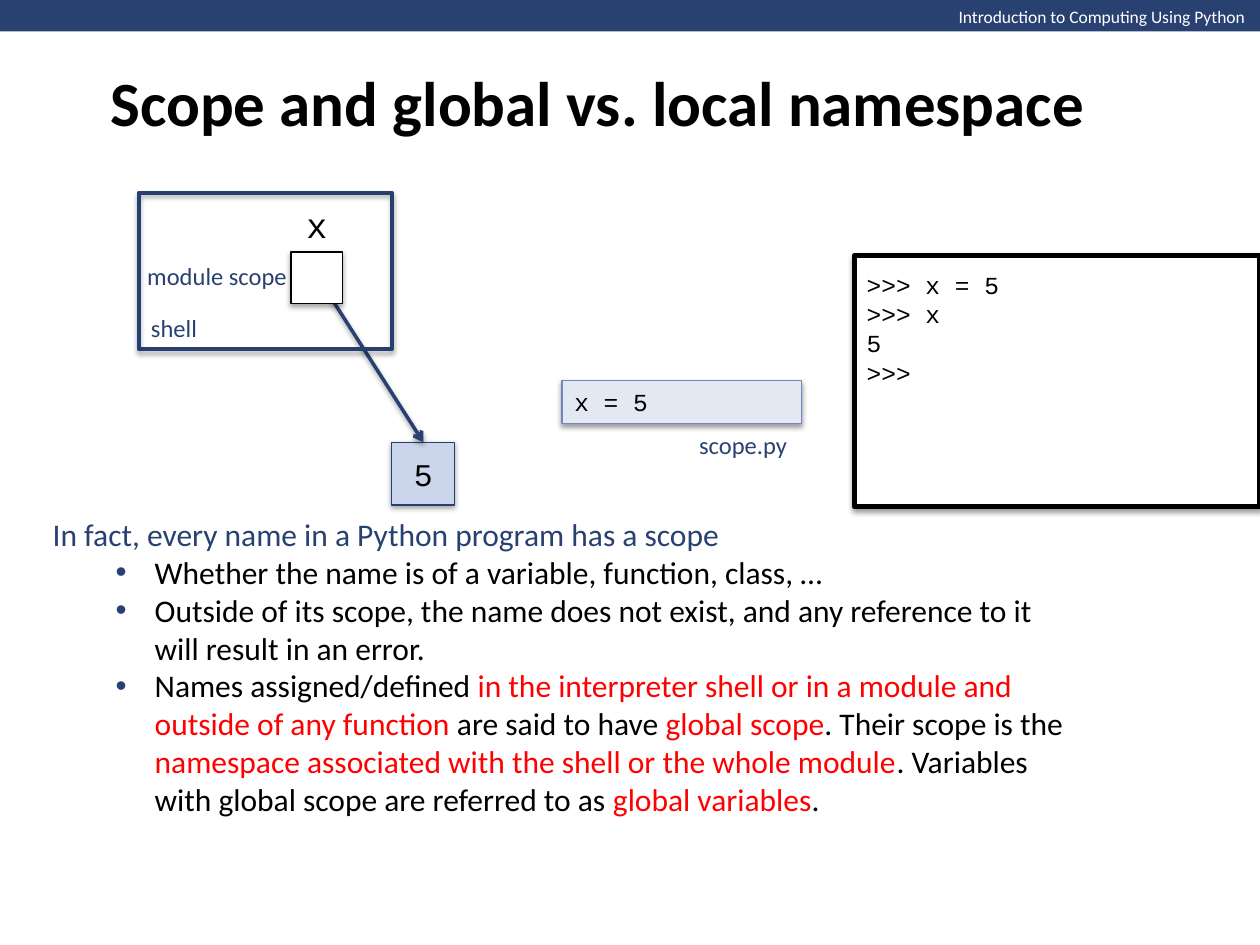
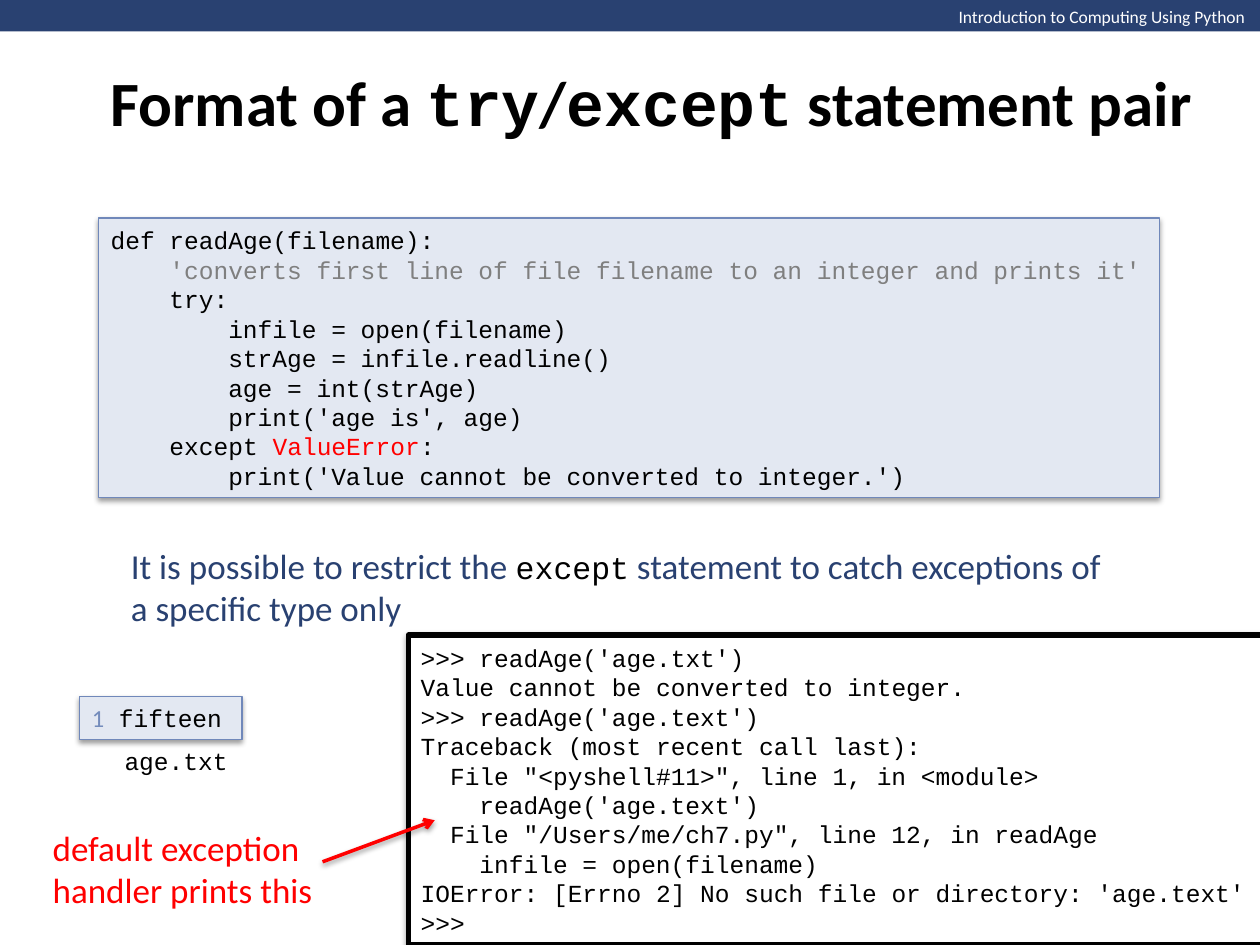
from lxml.etree import SubElement
from pptx import Presentation
from pptx.dml.color import RGBColor
from pptx.enum.shapes import MSO_CONNECTOR as CONNECTOR, MSO_SHAPE as SHAPE
from pptx.enum.text import MSO_ANCHOR as ANCHOR, PP_ALIGN as ALIGN
from pptx.oxml.ns import qn
from pptx.util import Inches, Pt

rgb = RGBColor.from_string

NAVY, BLACK, WHITE, RED, GREY = "294171", "000000", "FFFFFF", "FF0000", "7F7F7F"
SANS, MONO = "Calibri", "Courier New"
CHAR_WIDTH = 0.6  # of the monospaced font, in ems

LABEL = dict(size=14, color=NAVY, wrap=False)
CODE = dict(size=14, font=MONO)
FILE = dict(CODE, fill="E3E8F2", line="7088BA")
SHELL = dict(CODE, fill=WHITE, line=BLACK, width=3)
RED_RUN = dict(color=RED)


def paint(shape, line=None, width=0.75, shadow=38, arrow=False):
    """Set the outline, arrowhead and soft shadow (opacity in percent)."""
    if line:
        shape.line.color.rgb = rgb(line)
        shape.line.width = Pt(width)
    else:
        shape.line.fill.background()
    if arrow:
        SubElement(shape.line._get_or_add_ln(), qn("a:tailEnd"), type="arrow")
    effects = SubElement(shape._element.spPr, qn("a:effectLst"))
    if shadow:
        outer = SubElement(effects, qn("a:outerShdw"), blurRad=str(Pt(3.1)),
                           dist=str(Pt(1.6)), dir="5400000", rotWithShape="0")
        black = SubElement(outer, qn("a:srgbClr"), val=BLACK)
        SubElement(black, qn("a:alpha"), val=str(shadow * 1000))


def write(slide, text, at, size=18, font=SANS, color=BLACK, bold=False,
          align=ALIGN.LEFT, anchor=ANCHOR.MIDDLE, wrap=True, top=0.05,
          bullets_from=None, fill=None, line=None, width=0.75, shadow=38):
    """Write paragraphs; each is a string or a list of strings and (string, format)."""
    place = [Inches(v) for v in at]
    if fill or line:
        box = slide.shapes.add_shape(SHAPE.RECTANGLE, *place)
        if fill:
            box.fill.solid()
            box.fill.fore_color.rgb = rgb(fill)
        else:
            box.fill.background()
        paint(box, line, width, shadow)
    else:
        box = slide.shapes.add_textbox(*place)
    frame = box.text_frame
    frame.word_wrap = wrap
    frame.vertical_anchor = anchor
    frame.margin_top = Inches(top)

    for i, runs in enumerate([text] if isinstance(text, str) else text):
        paragraph = frame.paragraphs[0] if i == 0 else frame.add_paragraph()
        paragraph.alignment = align
        runs = [r if isinstance(r, tuple) else (r, {})
                for r in ([runs] if isinstance(runs, str) else runs)]
        # Leading code spaces become a paragraph indent
        first, first_format = runs[0]
        depth = len(first) - len(first.lstrip())
        runs[0] = (first.lstrip(), first_format)
        props = paragraph._p.get_or_add_pPr()
        if depth:
            props.set("marL", str(Pt(depth * CHAR_WIDTH * size)))
        if bullets_from is not None and i >= bullets_from:
            props.set("lvl", "1")
            props.set("marL", str(Inches(0.81)))
            props.set("indent", str(Inches(-0.31)))
            tint = SubElement(props, qn("a:buClr"))
            SubElement(tint, qn("a:srgbClr"), val=NAVY)
            SubElement(props, qn("a:buFont"), typeface="Arial")
            SubElement(props, qn("a:buChar"), char="•")
        for words, changes in runs:
            run = paragraph.add_run()
            run.text = words
            run.font.size = Pt(changes.get("size", size))
            run.font.name = changes.get("font", font)
            run.font.color.rgb = rgb(changes.get("color", color))
            run.font.bold = bold
    return box


deck = Presentation()
deck.slide_width, deck.slide_height = Inches(10), Inches(7.5)

# Band and title of both slides
titles = [
    ("Scope and global vs. local namespace", 8.5),
    ([["Format of a ", ("try", dict(font=MONO)), "/",
       ("except", dict(font=MONO)), " statement pair"]], 9.24),
]
slides = []
for title, title_width in titles:
    slide = deck.slides.add_slide(deck.slide_layouts[6])
    write(slide, "", (0, 0, 10.01, 0.25), fill=NAVY, shadow=0)
    write(slide, "Introduction to Computing Using Python", (7.51, 0, 2.5, 0.27),
          size=10, color=WHITE, wrap=False, anchor=ANCHOR.TOP)
    write(slide, title, (0.78, 0, title_width, 1.61), size=36, bold=True)
    slides.append(slide)
scope, exceptions = slides

# Scope: explanation
write(scope, [
    [("In fact, every name in a Python program has a scope", dict(color=NAVY))],
    "Whether the name is of a variable, function, class, …",
    "Outside of its scope, the name does not exist, and any reference to it "
    "will result in an error.",
    ["Names assigned/defined ",
     ("in the interpreter shell or in a module and outside of any function ", RED_RUN),
     "are said to have ", ("global scope", RED_RUN), ". Their scope is the ",
     ("namespace associated with the shell or the whole module", RED_RUN),
     ". Variables with global scope are referred to as ",
     ("global variables", RED_RUN), "."],
], (0.32, 4.04, 8.24, 2.52), anchor=ANCHOR.TOP, bullets_from=1)

# Scope: module file and interpreter shell
write(scope, "x = 5", (4.46, 3.02, 1.9, 0.34), **FILE)
write(scope, "scope.py", (5.45, 3.36, 0.91, 0.34), **LABEL)
write(scope, [">>> x = 5", ">>> x", "5", ">>>"], (6.78, 2.03, 3.22, 1.99),
      anchor=ANCHOR.TOP, top=0.11, **SHELL)

# Scope: name x refers to value 5
value = write(scope, "5", (3.11, 3.51, 0.5, 0.5), font=MONO, align=ALIGN.CENTER,
              fill="CBD6EC", line="263F70", shadow=35)
reference = scope.shapes.add_connector(
    CONNECTOR.STRAIGHT, Inches(2.51), Inches(2.18), Inches(3.36), Inches(3.51))
reference.end_connect(value, 0)
paint(reference, NAVY, 2, arrow=True)
write(scope, "", (1.1, 1.53, 2.01, 1.24), line="263F70", width=2.25, shadow=35)
write(scope, "shell", (1.1, 2.43, 0.57, 0.34), **LABEL)
write(scope, "", (2.31, 2, 0.41, 0.41), fill=WHITE, line=BLACK, shadow=35)
write(scope, "x", (2.31, 1.56, 0.41, 0.44), size=20, font=MONO, align=ALIGN.CENTER)
write(scope, "module scope", (1.07, 2.02, 1.32, 0.34), **LABEL)

# Exceptions: statement and function
write(exceptions, [
    ["It is possible to restrict the ",
     ("except", dict(size=18, font=MONO, color=BLACK)),
     " statement to catch exceptions of"],
    "a specific type only",
], (0.94, 4.27, 7.97, 0.77), size=20, color=NAVY, wrap=False)
write(exceptions, [
    "def readAge(filename):",
    [("    'converts first line of file filename to an integer and prints it'",
      dict(color=GREY))],
    "    try:",
    "        infile = open(filename)",
    "        strAge = infile.readline()",
    "        age = int(strAge)",
    "        print('age is', age)",
    ["    except ", ("ValueError", RED_RUN), ":"],
    "        print('Value cannot be converted to integer.')",
], (0.78, 1.73, 8.42, 2.22), **FILE)

# Exceptions: data file
write(exceptions, [[("1", dict(font=SANS, color="748CBC")), " fifteen"]],
      (0.63, 5.53, 1.29, 0.34), **FILE)
write(exceptions, "age.txt", (0.89, 5.87, 1.03, 0.34), wrap=False, **CODE)

# Exceptions: shell session with the default handler's output
write(exceptions, [
    ">>> readAge('age.txt')",
    "Value cannot be converted to integer.",
    ">>> readAge('age.text')",
    "Traceback (most recent call last):",
    "  File \"<pyshell#11>\", line 1, in <module>",
    "    readAge('age.text')",
    "  File \"/Users/me/ch7.py\", line 12, in readAge",
    "    infile = open(filename)",
    "IOError: [Errno 2] No such file or directory: 'age.text'",
    ">>>",
], (3.24, 5.04, 6.78, 2.46), **SHELL)
write(exceptions, "default exception handler prints this", (0.32, 6.51, 2.53, 0.77),
      size=20, color=RED)
pointer = exceptions.shapes.add_connector(
    CONNECTOR.STRAIGHT, Inches(2.56), Inches(6.84), Inches(3.45), Inches(6.51))
paint(pointer, RED, 2, arrow=True)

deck.save("out.pptx")
